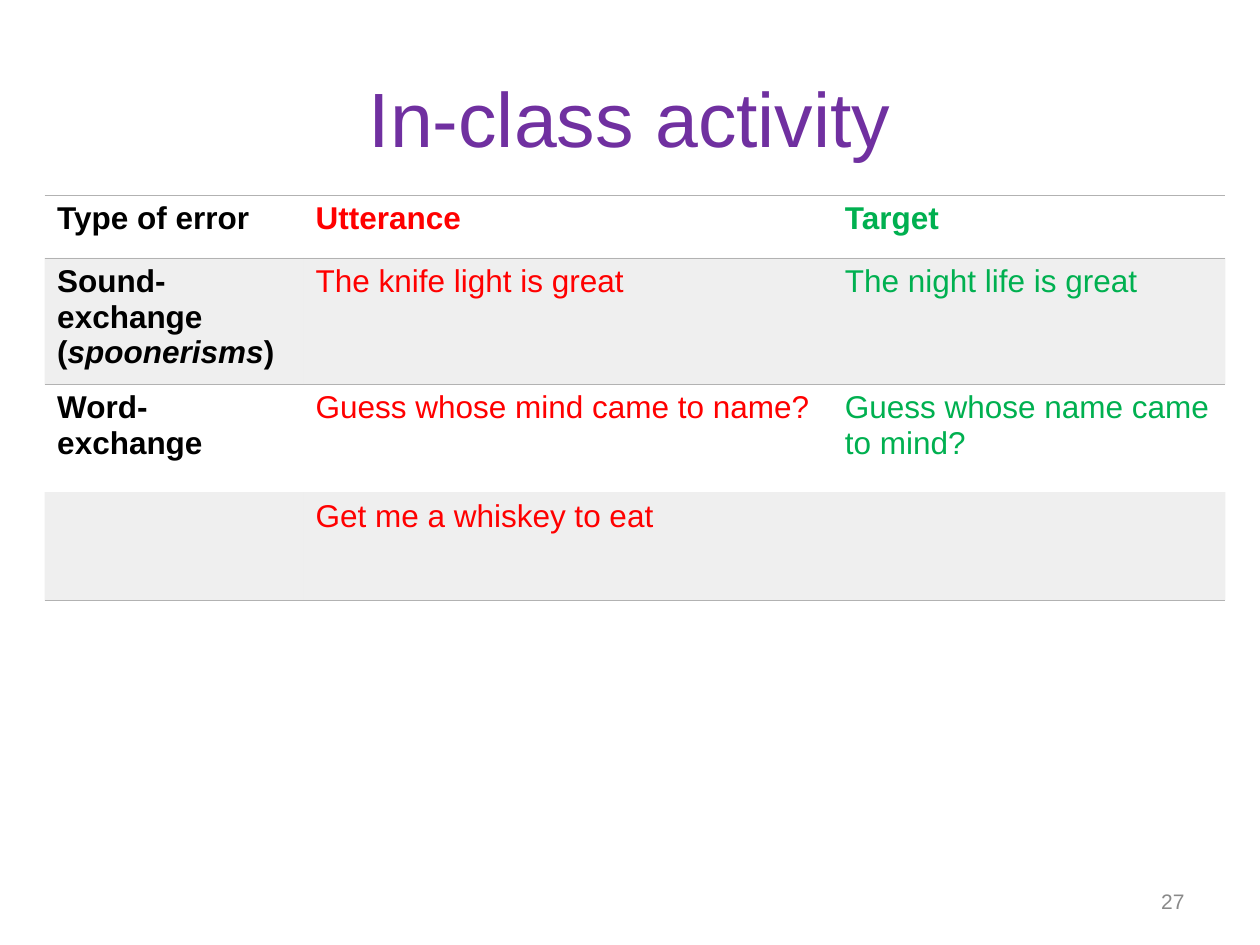
"""Build the in-class activity slide on speech errors."""
import pptx
import pptx.dml.color
import pptx.enum.text
import pptx.oxml
import pptx.oxml.ns
import pptx.util

Cm, Pt = pptx.util.Cm, pptx.util.Pt
RGBColor = pptx.dml.color.RGBColor
ALIGN = pptx.enum.text.PP_ALIGN
MIDDLE = pptx.enum.text.MSO_ANCHOR.MIDDLE
qn, nsdecls = pptx.oxml.ns.qn, pptx.oxml.ns.nsdecls

BLACK = RGBColor(0x00, 0x00, 0x00)
PURPLE = RGBColor(0x70, 0x30, 0xA0)
RED = RGBColor(0xFF, 0x00, 0x00)
GREEN = RGBColor(0x00, 0xB0, 0x50)
GRAY = RGBColor(0xB2, 0xB2, 0xB2)
NUMBER_GRAY = RGBColor(0x89, 0x89, 0x89)

NO_STYLE = "{2D5ABB26-0587-4C30-8999-92F81FD0307C}"
COLUMN_WIDTHS = (5.21, 10.67, 7.92)
ROW_HEIGHTS = (1.27, 2.54, 2.18, 2.18)
COLUMN_COLORS = (BLACK, RED, GREEN)
ROWS = (
    ("Type of error", "Utterance", "Target"),
    ("Sound-exchange\n(*spoonerisms*)", "The knife light is great", "The night life is great"),
    ("Word-exchange", "Guess whose mind came to name?", "Guess whose name came to mind?"),
    ("", "Get me a whiskey to eat", ""),
)


class SlideBuilder:
    def __init__(self, slide, font="Arial"):
        self.slide = slide
        self.font = font

    def paragraph(self, p, text, size, color, bold=False):
        for i, part in enumerate(text.split("*")):
            if part:
                r = p.add_run()
                r.text = part
                if i % 2:
                    r.font.italic = True
        p.font.name = self.font
        p.font.size = Pt(size)
        p.font.bold = bold
        p.font.color.rgb = color

    def text(self, text, left, top, width, height, size, color, align):
        sp = self.slide.shapes.add_textbox(Cm(left), Cm(top), Cm(width), Cm(height))
        tf = sp.text_frame
        tf.word_wrap = True
        tf.vertical_anchor = MIDDLE
        p = tf.paragraphs[0]
        p.alignment = align
        self.paragraph(p, text, size, color)

    def border(self, cell, side):
        cell._tc.get_or_add_tcPr().append(pptx.oxml.parse_xml(
            f'<a:{side} {nsdecls("a")} w="{Pt(0.45)}"><a:solidFill>'
            f'<a:srgbClr val="{GRAY}"/></a:solidFill></a:{side}>'))

    def shade(self, cell, alpha):
        cell.fill.solid()
        cell.fill.fore_color.rgb = GRAY
        color = cell._tc.tcPr.find(qn("a:solidFill")).find(qn("a:srgbClr"))
        color.append(pptx.oxml.parse_xml(
            f'<a:alpha {nsdecls("a")} val="{alpha * 1000}"/>'))

    def table(self, rows, left, top, widths, heights, colors, size):
        frame = self.slide.shapes.add_table(
            len(rows), len(widths), Cm(left), Cm(top), Cm(sum(widths)), Cm(sum(heights)))
        table = frame.table
        table._tbl.tblPr.find(qn("a:tableStyleId")).text = NO_STYLE
        for column, width in zip(table.columns, widths):
            column.width = Cm(width)
        for i, (row, height) in enumerate(zip(rows, heights)):
            table.rows[i].height = Cm(height)
            for j, (text, color) in enumerate(zip(row, colors)):
                cell = table.cell(i, j)
                tf = cell.text_frame
                for n, line in enumerate(text.split("\n")):
                    p = tf.add_paragraph() if n else tf.paragraphs[0]
                    self.paragraph(p, line, size, color, bold=i == 0 or j == 0)
                if i < 2:
                    self.border(cell, "lnT")
                if i in (0, len(rows) - 1):
                    self.border(cell, "lnB")
                if i % 2:
                    self.shade(cell, 20)
                else:
                    cell.fill.background()


def main():
    prs = pptx.Presentation()
    prs.slide_width, prs.slide_height = Cm(25.4), Cm(19.05)
    s = SlideBuilder(prs.slides.add_slide(prs.slide_layouts[6]))
    s.text("In-class activity", 1.27, 0.76, 22.86, 3.18, 44, PURPLE, ALIGN.CENTER)
    s.table(ROWS, 0.9, 3.93, COLUMN_WIDTHS, ROW_HEIGHTS, COLUMN_COLORS, 18)
    s.text("27", 18.21, 17.65, 5.92, 1.02, 12, NUMBER_GRAY, ALIGN.RIGHT)
    prs.save("out.pptx")


if __name__ == "__main__":
    main()
